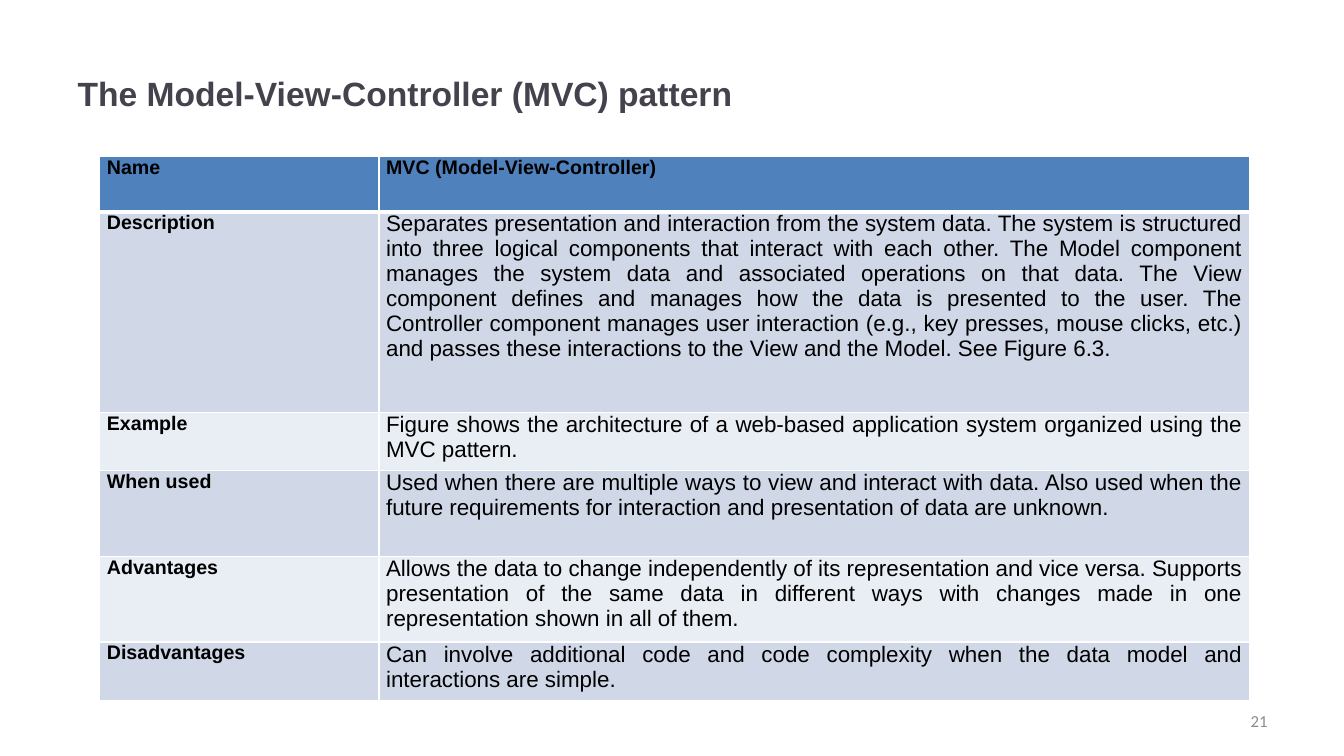
from lxml import etree
from pptx import Presentation
from pptx.dml.color import RGBColor
from pptx.enum.text import MSO_ANCHOR, PP_ALIGN
from pptx.oxml.ns import qn
from pptx.util import Inches, Pt

MIDDLE, TOP = MSO_ANCHOR.MIDDLE, MSO_ANCHOR.TOP
LEFT, RIGHT, JUSTIFY = PP_ALIGN.LEFT, PP_ALIGN.RIGHT, PP_ALIGN.JUSTIFY

BLACK = RGBColor(0x00, 0x00, 0x00)
SLATE = RGBColor(0x46, 0x42, 0x4D)
GRAY = RGBColor(0x8C, 0x8C, 0x8C)
WHITE = RGBColor(0xFF, 0xFF, 0xFF)
BLUE = RGBColor(0x4F, 0x81, 0xBD)
BANDS = (RGBColor(0xE9, 0xED, 0xF4), RGBColor(0xD0, 0xD8, 0xE8))

# Content
TITLE = "The Model-View-Controller (MVC) pattern"
NUMBER = "21"
COLS = (2.77, 8.63)
ROWS = [  # height, label, text
    (0.55, "Name", "MVC (Model-View-Controller)"),
    (1.99, "Description",
     "Separates presentation and interaction from the system data. The system "
     "is structured into three logical components that interact with each "
     "other. The Model component manages the system data and associated "
     "operations on that data. The View component defines and manages how the "
     "data is presented to the user. The Controller component manages user "
     "interaction (e.g., key presses, mouse clicks, etc.) and passes these "
     "interactions to the View and the Model. See Figure 6.3."),
    (0.58, "Example",
     "Figure shows the architecture of a web-based application system "
     "organized using the MVC pattern."),
    (0.85, "When used",
     "Used when there are multiple ways to view and interact with data. Also "
     "used when the future requirements for interaction and presentation of "
     "data are unknown."),
    (0.85, "Advantages",
     "Allows the data to change independently of its representation and vice "
     "versa. Supports presentation of the same data in different ways with "
     "changes made in one representation shown in all of them."),
    (0.58, "Disadvantages",
     "Can involve additional code and code complexity when the data model and "
     "interactions are simple."),
]


def write(frame, text, size, color, bold=False, align=LEFT, face="Arial"):
    frame.text = text
    para = frame.paragraphs[0]
    para.alignment = align
    font = para.font
    font.name, font.size, font.bold = face, Pt(size), bold
    font.color.rgb = color


def set_edge(cell, side, width):
    edge = etree.SubElement(cell._tc.get_or_add_tcPr(), qn("a:" + side),
                            w=str(Pt(width)))
    fill = etree.SubElement(edge, qn("a:solidFill"))
    etree.SubElement(fill, qn("a:srgbClr"), val=str(WHITE))


def add_title(slide):
    title = slide.shapes.title
    title.left, title.top = Inches(0.67), Inches(0.3)
    title.width, title.height = Inches(10.63), Inches(1.25)
    write(title.text_frame, TITLE, 24, SLATE, bold=True)
    title.text_frame.vertical_anchor = MIDDLE


def add_grid(slide):
    high = sum(row[0] for row in ROWS)
    table = slide.shapes.add_table(
        len(ROWS), len(COLS), Inches(0.99), Inches(1.55),
        Inches(sum(COLS)), Inches(high)).table
    for col, width in zip(table.columns, COLS):
        col.width = Inches(width)
    for r, (height, *texts) in enumerate(ROWS):
        table.rows[r].height = Inches(height)
        for c, text in enumerate(texts):
            cell = table.cell(r, c)
            head = r == 0 or c == 0
            write(cell.text_frame, text, 14 if head else 16, BLACK,
                  bold=head, align=JUSTIFY)
            cell.vertical_anchor = TOP
            cell.margin_left = cell.margin_right = Inches(0.07)
            cell.margin_top = cell.margin_bottom = 0
            # White grid, heavier under the header row
            for side in ("lnL", "lnR", "lnT", "lnB"):
                heavy = (r, side) in ((0, "lnB"), (1, "lnT"))
                set_edge(cell, side, 3 if heavy else 1)
            cell.fill.solid()
            cell.fill.fore_color.rgb = BANDS[r % 2] if r else BLUE


def add_number(slide):
    frame = slide.shapes.add_textbox(
        Inches(9.56), Inches(6.95), Inches(3.11), Inches(0.4)).text_frame
    frame.word_wrap = True
    frame.vertical_anchor = MIDDLE
    write(frame, NUMBER, 12, GRAY, align=RIGHT, face="Calibri")


def main():
    deck = Presentation()
    deck.slide_width, deck.slide_height = Inches(13.33), Inches(7.5)
    slide = deck.slides.add_slide(deck.slide_layouts[5])
    add_title(slide)
    add_grid(slide)
    add_number(slide)
    deck.save("out.pptx")


if __name__ == "__main__":
    main()
